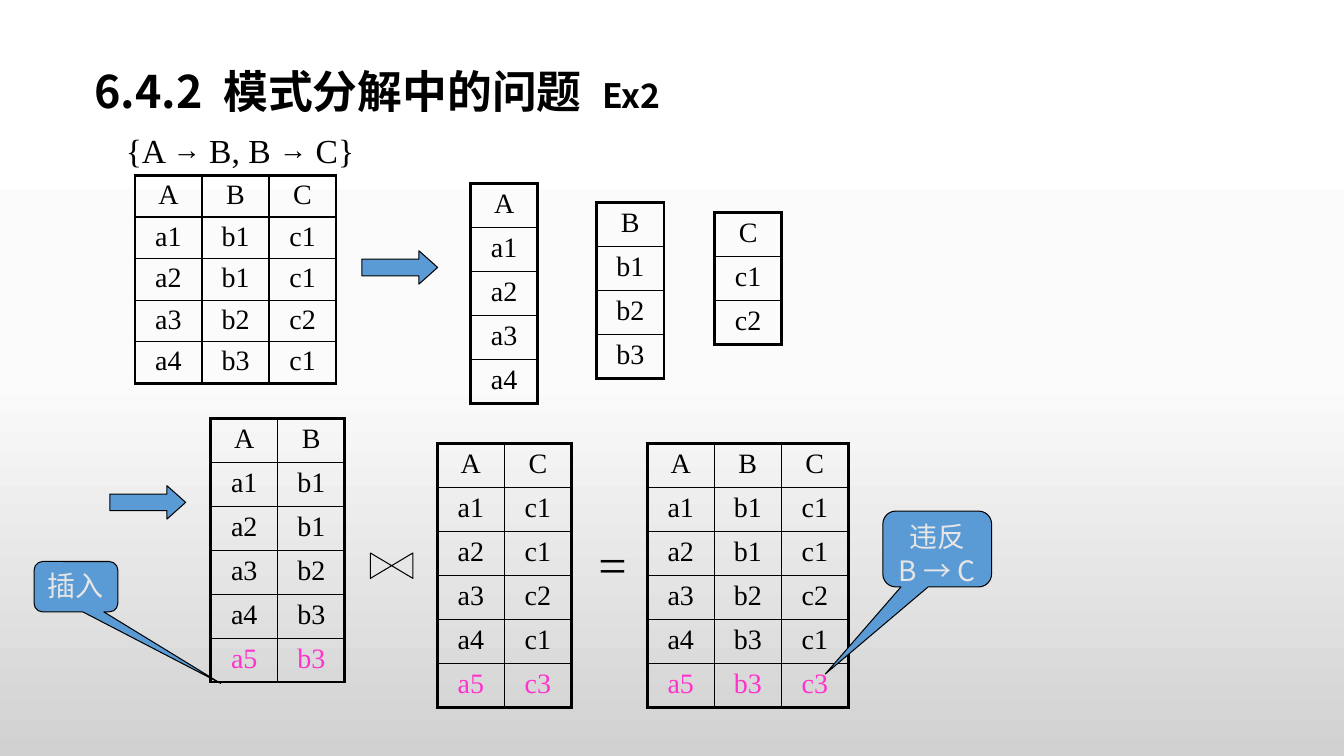
from copy import deepcopy
from dataclasses import dataclass

from lxml import etree
from pptx import Presentation
from pptx.dml.color import RGBColor
from pptx.enum.shapes import MSO_SHAPE
from pptx.enum.text import MSO_ANCHOR, PP_ALIGN
from pptx.oxml.ns import qn
from pptx.util import Cm, Pt

ARROW = MSO_SHAPE.RIGHT_ARROW
CALLOUT = MSO_SHAPE.ROUNDED_RECTANGULAR_CALLOUT
COLLATE = MSO_SHAPE.FLOWCHART_COLLATE
LEFT, CENTER = PP_ALIGN.LEFT, PP_ALIGN.CENTER
TOP, MIDDLE = MSO_ANCHOR.TOP, MSO_ANCHOR.MIDDLE

SERIF, NARROW = "Times New Roman", "Arial Narrow"
SANS, SANS_JP = "Noto Sans CJK SC", "Noto Sans CJK JP"
BLACK, BLUE, PINK, PALE = "000000", "5B9BD5", "FF33CC", "E7E6E6"
COL_WIDTH = 1.69
THICK, THIN = 2.25, 1
BACKGROUND = [(0, "FFFFFF"), (0.5, "FBFBFB"), (1, "D1D1D1")]


@dataclass
class Run:
    text: str
    size: float = 20
    font: str = SERIF
    color: str = BLACK
    bold: bool = False
    spacing: int = 0


@dataclass
class TextBox:
    box: tuple[float, float, float, float]
    runs: list[Run]
    align: PP_ALIGN = LEFT
    anchor: MSO_ANCHOR = TOP
    line_spacing: float = 1


@dataclass
class Relation:
    left: float
    top: float
    rows: list[str]
    row_height: float = 1.1
    margin: float = 0.13


@dataclass
class Figure:
    kind: MSO_SHAPE
    box: tuple[float, float, float, float]
    adjustments: tuple[float, ...] = ()
    fill: str = BLUE
    rotation: float = 0
    lines: tuple[Run, ...] = ()


def rgb(value: str) -> RGBColor:
    return RGBColor.from_string(value)


def add_run(p, run: Run) -> None:
    r = p.add_run()
    r.text = run.text
    r.font.size = Pt(run.size)
    r.font.name = run.font
    r.font.bold = run.bold
    r.font.color.rgb = rgb(run.color)
    rPr = r.font._element
    etree.SubElement(rPr, qn("a:ea"), typeface=run.font)
    if run.spacing:
        rPr.set("spc", str(run.spacing))


def add_text(s, item: TextBox) -> None:
    tf = s.shapes.add_textbox(*map(Cm, item.box)).text_frame
    tf.word_wrap = True
    tf.vertical_anchor = item.anchor
    p = tf.paragraphs[0]
    p.alignment = item.align
    p.line_spacing = item.line_spacing
    for run in item.runs:
        add_run(p, run)


def set_borders(cell, widths: dict[str, float]) -> None:
    tcPr = cell._tc.get_or_add_tcPr()
    for index, (side, width) in enumerate(widths.items()):
        ln = etree.Element(qn(f"a:ln{side}"), w=str(Pt(width)))
        fill = etree.SubElement(ln, qn("a:solidFill"))
        etree.SubElement(fill, qn("a:srgbClr"), val=BLACK)
        tcPr.insert(index, ln)


def add_relation(s, item: Relation) -> None:
    rows = [row.split() for row in item.rows]
    last_row, last_col = len(rows) - 1, len(rows[0]) - 1
    table = s.shapes.add_table(
        len(rows), len(rows[0]), Cm(item.left), Cm(item.top),
        Cm(COL_WIDTH * len(rows[0])), Cm(item.row_height * len(rows))).table
    table.first_row = table.horz_banding = False
    for col in table.columns:
        col.width = Cm(COL_WIDTH)
    for i, values in enumerate(rows):
        table.rows[i].height = Cm(item.row_height)
        color = PINK if values[0] == "a5" else BLACK
        for j, value in enumerate(values):
            cell = table.cell(i, j)
            cell.margin_top = cell.margin_bottom = Cm(item.margin)
            cell.fill.background()
            set_borders(cell, {
                "L": THICK if j == 0 else THIN,
                "R": THICK if j == last_col else THIN,
                "T": THICK if i == 0 else THIN,
                "B": THICK if i == last_row else THIN,
            })
            p = cell.text_frame.paragraphs[0]
            p.alignment = CENTER
            add_run(p, Run(value, color=color))


def add_figure(s, item: Figure) -> None:
    sp = s.shapes.add_shape(item.kind, *map(Cm, item.box))
    sp.shadow.inherit = False
    sp.rotation = item.rotation
    for i, value in enumerate(item.adjustments):
        sp.adjustments[i] = value
    if item.fill:
        sp.fill.solid()
        sp.fill.fore_color.rgb = rgb(item.fill)
    else:
        sp.fill.background()
    sp.line.color.rgb = rgb(BLACK)
    sp.line.width = Pt(0.75)
    tf = sp.text_frame
    tf.word_wrap = True
    tf.vertical_anchor = TOP
    for i, run in enumerate(item.lines):
        p = tf.add_paragraph() if i else tf.paragraphs[0]
        p.alignment = CENTER
        add_run(p, run)


def set_background(s) -> None:
    fill = s.background.fill
    fill.gradient()
    fill.gradient_angle = 270
    stops = s.element.find(f".//{qn('a:gsLst')}")
    stops.insert(1, deepcopy(stops[0]))
    for stop, (position, color) in zip(fill.gradient_stops, BACKGROUND):
        stop.position = position
        stop.color.rgb = rgb(color)


TITLE_GAP = Run(" ", 32, SANS, bold=True, spacing=720)
FD_ARROW = Run("→", font=NARROW)
TEXTS = [
    TextBox((2.13, 1.73, 21.59, 1.3), [
        Run("6.4.2", 32, SANS, bold=True), TITLE_GAP,
        Run("模式分解中的问题", 32, SANS, bold=True), TITLE_GAP,
        Run("Ex2", 24, SANS, bold=True)], anchor=MIDDLE, line_spacing=0.9),
    TextBox((2.34, 3.15, 7.42, 1.27), [
        Run("{A ", 24), FD_ARROW, Run(" B, B ", 24), FD_ARROW, Run(" C}", 24)], CENTER),
    TextBox((14.83, 13.31, 1.27, 1.78), [Run("=", 36)]),
]
RELATIONS = [
    Relation(3.4, 4.42, ["A B C", "a1 b1 c1", "a2 b1 c1", "a3 b2 c2", "a4 b3 c1"], 1.03, 0.1),
    Relation(11.86, 4.62, ["A", "a1", "a2", "a3", "a4"]),
    Relation(15.04, 5.11, ["B", "b1", "b2", "b3"]),
    Relation(18.01, 5.36, ["C", "c1", "c2"]),
    Relation(5.31, 10.54, ["A B", "a1 b1", "a2 b1", "a3 b2", "a4 b3", "a5 b3"]),
    Relation(11.02, 11.18, ["A C", "a1 c1", "a2 c1", "a3 c2", "a4 c1", "a5 c3"]),
    Relation(16.31, 11.18,
             ["A B C", "a1 b1 c1", "a2 b1 c1", "a3 b2 c2", "a4 b3 c1", "a5 b3 c3"]),
]
FIGURES = [
    Figure(ARROW, (9.12, 6.32, 1.91, 0.84), (0.5, 0.56)),
    Figure(ARROW, (2.77, 12.24, 1.91, 0.84), (0.5, 0.56)),
    Figure(COLLATE, (9.55, 13.72, 0.64, 1.07), fill="", rotation=90),
    Figure(CALLOUT, (0.86, 14.15, 2.11, 1.27), (1.73, 1.92, 0.17),
           lines=(Run("插入", font=SANS_JP, color=PALE),)),
    Figure(CALLOUT, (22.25, 12.88, 2.74, 1.91), (-1.03, 1.65, 0.17),
           lines=(Run("违反", font=SANS_JP, color=PALE),
                  Run("B → C", font=SANS_JP, color=PALE))),
]


def main() -> None:
    prs = Presentation()
    prs.slide_width, prs.slide_height = Cm(33.87), Cm(19.05)
    s = prs.slides.add_slide(prs.slide_layouts[6])
    set_background(s)
    for draw, items in ((add_text, TEXTS), (add_relation, RELATIONS), (add_figure, FIGURES)):
        for item in items:
            draw(s, item)
    prs.save("out.pptx")


if __name__ == "__main__":
    main()
